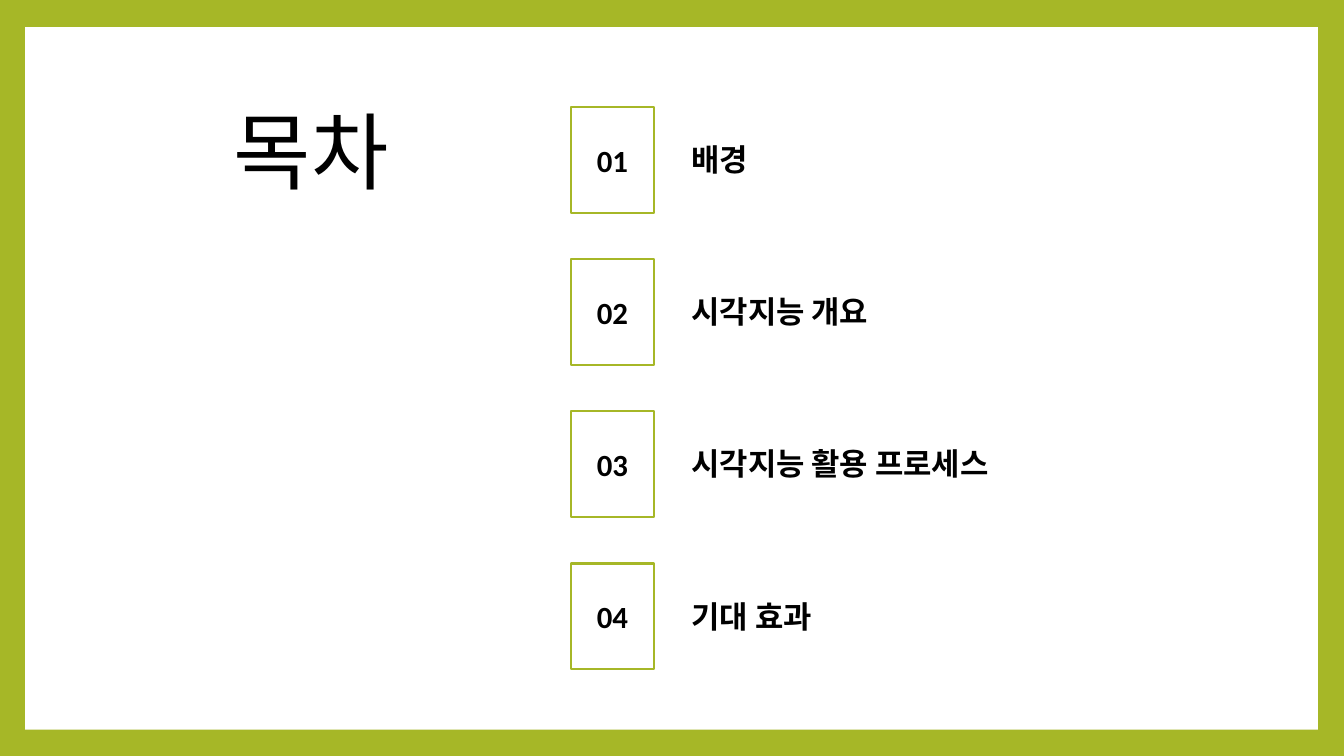
from pptx import Presentation
from pptx.dml.color import RGBColor
from pptx.enum import shapes, text
from pptx.util import Inches, Pt

COLORS = {"green": "A6B727", "white": "FFFFFF", "black": "000000"}
CHAPTERS = ["배경", "시각지능 개요", "시각지능 활용 프로세스", "기대 효과"]
FIRST_TOP = 1.06
CHAPTER_STEP = 1.51


def rgb(name):
    return RGBColor.from_string(COLORS[name])


def write(holder, wording, *, size=22, font="Calibri", bold=False,
          align=text.PP_ALIGN.LEFT, anchor=text.MSO_ANCHOR.MIDDLE):
    frame = holder.text_frame
    frame.word_wrap = True
    frame.vertical_anchor = anchor
    paragraph = frame.paragraphs[0]
    paragraph.alignment = align
    run = paragraph.add_run()
    run.text = wording
    run.font.size = Pt(size)
    run.font.name = font
    run.font.bold = bold
    run.font.color.rgb = rgb("black")


def add_panel(slide, left, top, width, height, border=None):
    panel = slide.shapes.add_shape(
        shapes.MSO_SHAPE.RECTANGLE,
        Inches(left), Inches(top), Inches(width), Inches(height))
    panel.shadow.inherit = False
    panel.fill.solid()
    panel.fill.fore_color.rgb = rgb("white")
    if border:
        panel.line.color.rgb = rgb(border)
        panel.line.width = Pt(1.5)
    else:
        panel.line.fill.background()
    return panel


def add_label(slide, left, top, width, height, wording, **style):
    label = slide.shapes.add_textbox(
        Inches(left), Inches(top), Inches(width), Inches(height))
    write(label, wording, **style)


def add_chapter(slide, number, chapter):
    top = FIRST_TOP + (number - 1) * CHAPTER_STEP
    number_box = add_panel(slide, 5.66, top, 0.83, 1.05, border="green")
    write(number_box, f"{number:02}", bold=True, align=text.PP_ALIGN.CENTER)
    add_label(slide, 6.76, top + 0.1, 5.19, 0.84, chapter,
              font="Arial", bold=True)


def main():
    deck = Presentation()
    deck.slide_width = Inches(13.33)
    deck.slide_height = Inches(7.5)
    contents = deck.slides.add_slide(deck.slide_layouts[6])
    contents.background.fill.solid()
    contents.background.fill.fore_color.rgb = rgb("green")

    add_panel(contents, 0.25, 0.27, 12.82, 6.97)
    add_label(contents, 2.22, 0.94, 2.07, 1.1, "목차",
              size=60, anchor=text.MSO_ANCHOR.TOP)
    for number, chapter in enumerate(CHAPTERS, start=1):
        add_chapter(contents, number, chapter)

    deck.save("out.pptx")


if __name__ == "__main__":
    main()
